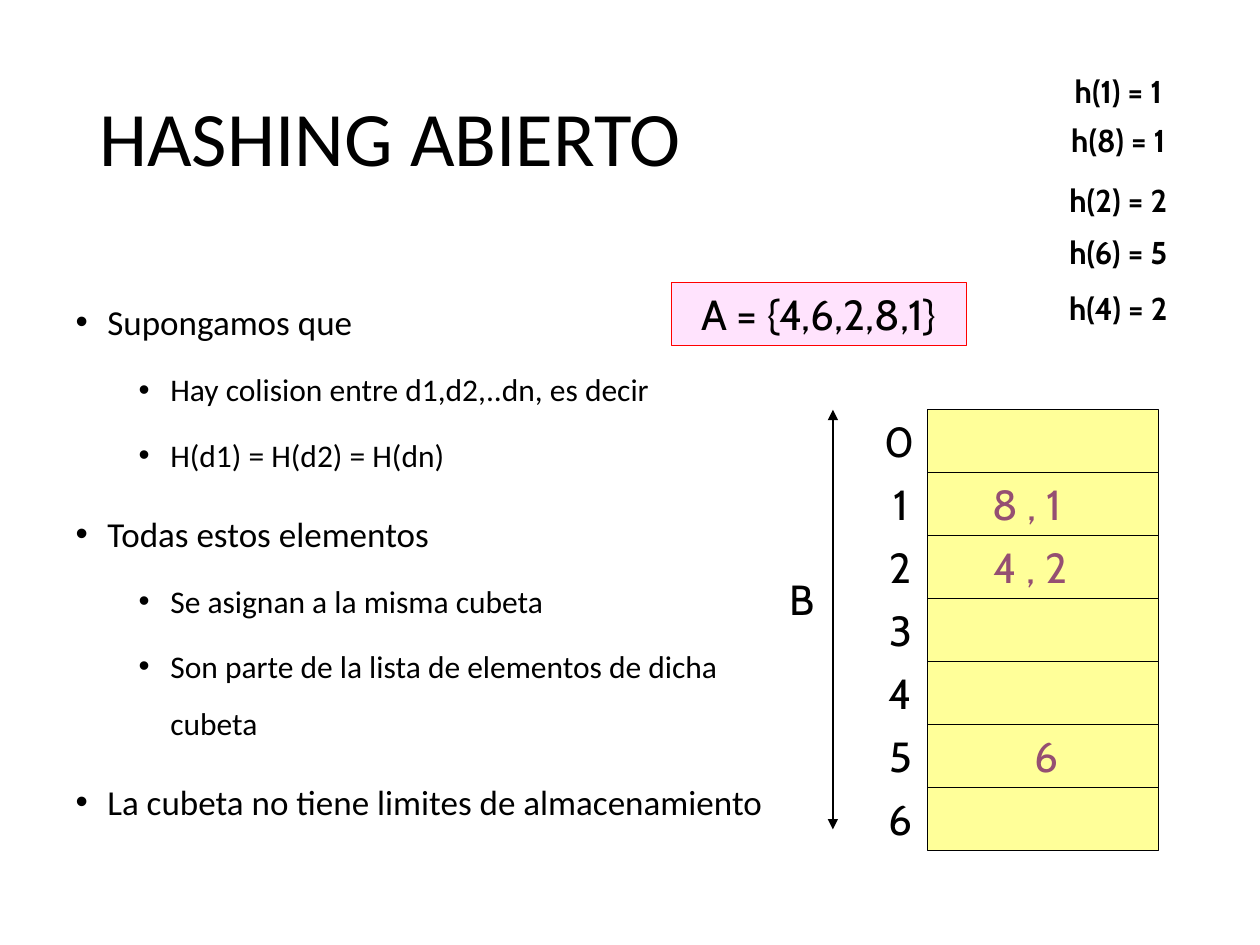
from dataclasses import dataclass

from lxml.etree import SubElement
from pptx import Presentation
from pptx.dml.color import RGBColor
from pptx.enum.shapes import MSO_CONNECTOR, MSO_SHAPE
from pptx.enum.text import MSO_ANCHOR, MSO_AUTO_SIZE, PP_ALIGN
from pptx.oxml.ns import qn
from pptx.util import Cm, Pt


@dataclass(frozen=True)
class Theme:
    """Fonts, type sizes in points and colours of the slide."""
    text: str = "Calibri"
    label: str = "Cabin"
    title: int = 44
    main: int = 20
    sub: int = 18
    big: int = 24
    small: int = 18
    rule: float = 0.75
    ink: str = "000000"
    value: str = "954F72"
    cell: str = "FFFF99"
    paper: str = "FFFFFF"
    pink: str = "FFE3FD"
    red: str = "FF0000"


@dataclass(frozen=True)
class Box:
    """A region in centimetres."""
    left: float
    top: float
    width: float
    height: float

    def inner(self, left, top, width, height):
        """Return a box placed relative to this one."""
        return Box(self.left + left, self.top + top, width, height)

    def cm(self):
        """Return left, top, width and height as lengths."""
        return [Cm(n) for n in (self.left, self.top, self.width, self.height)]


THEME = Theme()
ITEMS = [
    (0, "Supongamos que"),
    (1, "Hay colision entre d1,d2,..dn, es decir"),
    (1, "H(d1) = H(d2) = H(dn)"),
    (0, "Todas estos elementos"),
    (1, "Se asignan a la misma cubeta"),
    (1, "Son parte de la lista de elementos de dicha cubeta"),
    (0, "La cubeta no tiene limites de almacenamiento"),
]
HASHES = [
    (0, "h(1) = 1"),
    (0.99, "h(8) = 1"),
    (2.21, "h(2) = 2"),
    (3.25, "h(6) = 5"),
    (4.39, "h(4) = 2"),
]
VALUES = [
    (1, 4.11, 0.99, "8"),
    (1, 4.7, 1.42, ", 1"),
    (2, 4.11, 0.99, "4"),
    (2, 4.75, 1.42, ", 2"),
    (5, 4.95, 0.99, "6"),
]


def style(para, size, face, color=THEME.ink, bold=False):
    """Set the font of a paragraph."""
    font = para.font
    font.size, font.name, font.bold = Pt(size), face, bold
    font.color.rgb = RGBColor.from_string(color)


def seat(holder, box):
    """Move a placeholder to a box and return its text frame."""
    holder.left, holder.top, holder.width, holder.height = box.cm()
    frame = holder.text_frame
    frame.auto_size = MSO_AUTO_SIZE.NONE
    return frame


def label(shape, text, size=THEME.big, color=THEME.ink, bold=False):
    """Write one centred, unwrapped line in a shape."""
    frame = shape.text_frame
    frame.word_wrap = False
    frame.vertical_anchor = MSO_ANCHOR.TOP
    para = frame.paragraphs[0]
    para.text = text
    para.alignment = PP_ALIGN.CENTER
    style(para, size, THEME.label, color, bold)


def note(shapes, box, text, color=THEME.ink):
    """Add a text box with one label."""
    label(shapes.add_textbox(*box.cm()), text, color=color)


def block(shapes, box, fill, line=None):
    """Add a filled rectangle, outlined if a line colour is given."""
    shape = shapes.add_shape(MSO_SHAPE.RECTANGLE, *box.cm())
    shape.shadow.inherit = False
    shape.fill.solid()
    shape.fill.fore_color.rgb = RGBColor.from_string(fill)
    if line:
        shape.line.color.rgb = RGBColor.from_string(line)
        shape.line.width = Pt(THEME.rule)
    else:
        shape.line.fill.background()
    return shape


def arrow(shapes, box):
    """Add a line across a box with a head at both ends."""
    left, top, width, height = box.cm()
    line = shapes.add_connector(
        MSO_CONNECTOR.STRAIGHT, left, top, left + width, top + height)
    line.line.color.rgb = RGBColor.from_string(THEME.ink)
    line.line.width = Pt(THEME.rule)
    props = line._element.spPr
    edge = props.find(qn("a:ln"))
    for end in ("a:headEnd", "a:tailEnd"):
        SubElement(edge, qn(end), type="triangle")
    SubElement(props, qn("a:effectLst"))


def heading(slide, box):
    """Fill the title placeholder."""
    frame = seat(slide.shapes.title, box)
    frame.vertical_anchor = MSO_ANCHOR.MIDDLE
    para = frame.paragraphs[0]
    para.text = "HASHING ABIERTO"
    para.alignment = PP_ALIGN.LEFT
    para.line_spacing = 0.9
    style(para, THEME.title, THEME.text)


def points(slide, box):
    """Fill the body placeholder with the two-level list."""
    frame = seat(slide.placeholders[1], box)
    for index, (level, text) in enumerate(ITEMS):
        para = frame.add_paragraph() if index else frame.paragraphs[0]
        para.text = text
        para.level = level
        para.line_spacing = 1.5
        para.space_before = Pt((5 if level else 10) if index else 0)
        props = para._p.get_or_add_pPr()
        props.set("marL", str(Cm(1.91 if level else 0.64)))
        props.set("indent", str(Cm(-0.64)))
        SubElement(props, qn("a:buChar"), char="•")
        style(para, THEME.sub if level else THEME.main, THEME.text)


def buckets(slide, box, count=7):
    """Draw the numbered buckets, their height arrow and their values."""
    step = box.height / count
    group = slide.shapes.add_group_shape().shapes
    for row in range(count):
        block(group, box.inner(3.05, row * step, 4.65, step),
              THEME.cell, THEME.ink)
    arrow(group, box.inner(1.14, 0, 0, 8.46))
    note(group, box.inner(0, 3.18, 1.04, step), "B")
    for row in range(count):
        note(group, box.inner(2.01 if row else 1.93, row * step, 0.99, step),
             str(row))
    for row, left, width, text in VALUES:
        note(slide.shapes, box.inner(left, row * step, width, step),
             text, THEME.value)


def keys(slide, box):
    """Draw the framed set of keys."""
    label(block(slide.shapes, box, THEME.pink, THEME.red), "A = {4,6,2,8,1}")


def hashes(slide, box):
    """List the hash of each key."""
    for top, text in HASHES:
        shape = block(slide.shapes, box.inner(0, top, box.width, 1.02),
                      THEME.paper)
        label(shape, text, THEME.small, bold=True)


def main():
    """Build and save the slide."""
    deck = Presentation()
    deck.slide_width, deck.slide_height = Cm(25.4), Cm(19.05)
    slide = deck.slides.add_slide(deck.slide_layouts[1])
    heading(slide, Box(1.75, 1.02, 21.92, 3.68))
    points(slide, Box(1.27, 5.51, 14.61, 11.43))
    buckets(slide, Box(15.65, 8.26, 7.7, 8.89))
    keys(slide, Box(13.54, 5.69, 5.94, 1.27))
    hashes(slide, Box(21.16, 1.32, 2.77, 5.41))
    deck.save("out.pptx")


if __name__ == "__main__":
    main()
